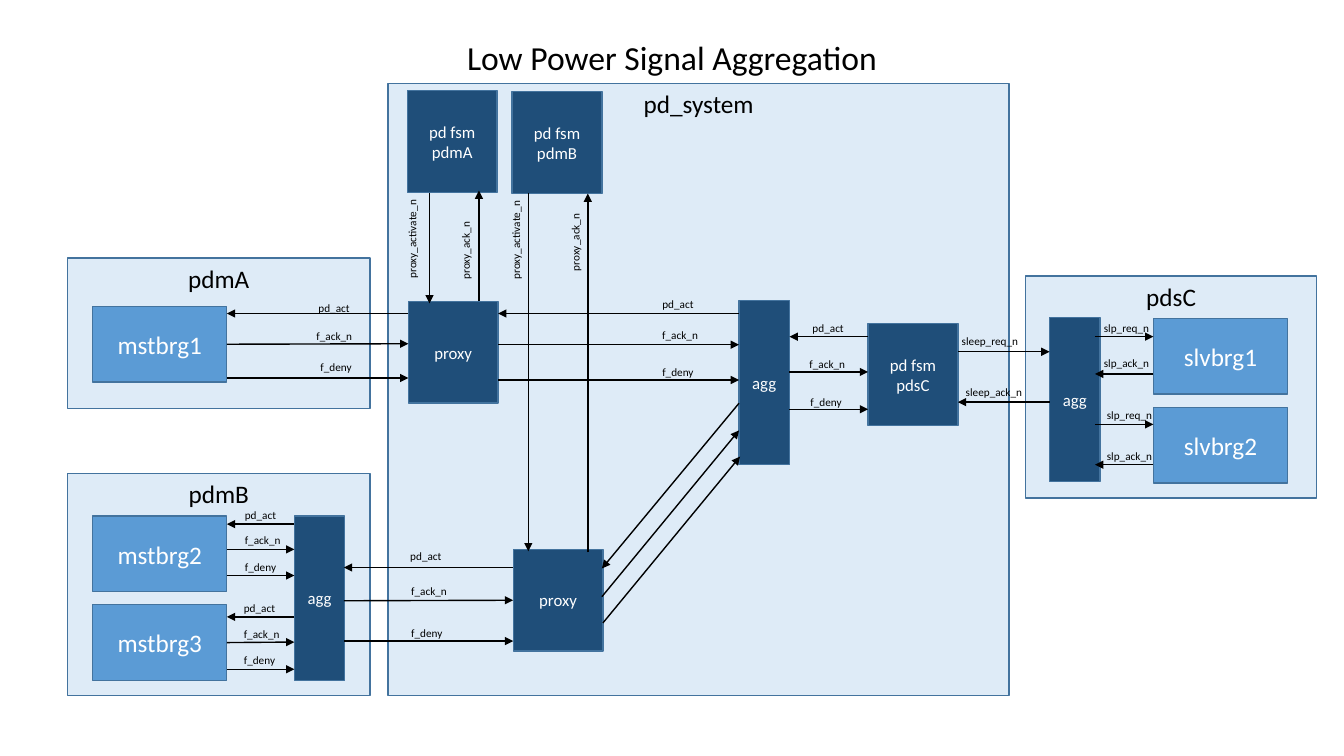
from lxml.etree import SubElement
from pptx import Presentation
from pptx.dml.color import RGBColor
from pptx.enum.shapes import MSO_CONNECTOR, MSO_SHAPE
from pptx.enum.text import MSO_ANCHOR, MSO_AUTO_SIZE, PP_ALIGN
from pptx.oxml.ns import qn
from pptx.util import Inches, Pt

PALE = RGBColor(0xDE, 0xEB, 0xF7)
BRIGHT = RGBColor(0x5B, 0x9B, 0xD5)
NAVY = RGBColor(0x1F, 0x4E, 0x79)
OUTLINE = RGBColor(0x43, 0x73, 0x9E)
BLACK = RGBColor(0, 0, 0)
WHITE = RGBColor(0xFF, 0xFF, 0xFF)

RIGHT_SIDE, LEFT_SIDE = 3, 1

prs = Presentation()
prs.slide_width, prs.slide_height = Inches(13.33), Inches(7.5)
slide = prs.slides.add_slide(prs.slide_layouts[6])


def write(shape, lines, size, color, align=PP_ALIGN.CENTER):
    """Fill the shape with one paragraph per line of text."""
    frame = shape.text_frame
    frame.text = lines
    for paragraph in frame.paragraphs:
        paragraph.alignment = align
        for key, value in {"name": "Calibri", "size": Pt(size)}.items():
            setattr(paragraph.runs[0].font, key, value)
        paragraph.runs[0].font.color.rgb = color
    return frame


def add_arrow(x1, y1, x2, y2):
    """Draw a black line with its arrowhead at the second point."""
    arrow = slide.shapes.add_connector(
        MSO_CONNECTOR.STRAIGHT, Inches(x1), Inches(y1), Inches(x2), Inches(y2))
    arrow.line.width = Pt(1)
    arrow.line.color.rgb = BLACK
    SubElement(arrow.line._get_or_add_ln(), qn("a:tailEnd"), type="triangle")
    SubElement(arrow._element.spPr, qn("a:effectLst"))
    return arrow


title = slide.shapes.add_textbox(Inches(0.25), Inches(0.32), Inches(12.83), Inches(0.5))
title_frame = write(title, "Low Power Signal Aggregation", 24, BLACK)
title_frame.word_wrap = True

# Power domains and the blocks inside them
# style: fill, text colour, text size, anchor
DOMAIN = (PALE, BLACK, 18, MSO_ANCHOR.TOP)
BRIDGE = (BRIGHT, WHITE, 18, MSO_ANCHOR.MIDDLE)
CONTROL = (NAVY, WHITE, 12, MSO_ANCHOR.MIDDLE)
BRIDGE_SIZE, CONTROL_SIZE, AGG_SIZE = (1.33, 0.75), (0.89, 1.01), (0.5, 1.63)

blocks = {}
for key, text, style, left, top, (width, height) in [
    ("pd_system", "pd_system", DOMAIN, 3.85, 0.83, (6.16, 6.07)),
    ("pdmA", "pdmA", DOMAIN, 0.67, 2.56, (3, 1.49)),
    ("pdmB", "pdmB", DOMAIN, 0.67, 4.7, (3, 2.2)),
    ("pdsC", "pdsC", DOMAIN, 10.17, 2.74, (2.89, 2.2)),
    ("mstbrg1", "mstbrg1", BRIDGE, 0.92, 3.04, BRIDGE_SIZE),
    ("mstbrg2", "mstbrg2", BRIDGE, 0.92, 5.12, BRIDGE_SIZE),
    ("mstbrg3", "mstbrg3", BRIDGE, 0.92, 6, BRIDGE_SIZE),
    ("slvbrg1", "slvbrg1", BRIDGE, 11.44, 3.16, BRIDGE_SIZE),
    ("slvbrg2", "slvbrg2", BRIDGE, 11.44, 4.04, BRIDGE_SIZE),
    ("agg pdmB", "agg", CONTROL, 2.92, 5.12, AGG_SIZE),
    ("agg system", "agg", CONTROL, 7.33, 2.98, AGG_SIZE),
    ("agg pdsC", "agg", CONTROL, 10.41, 3.15, AGG_SIZE),
    ("proxy pdmA", "proxy", CONTROL, 4.05, 2.99, CONTROL_SIZE),
    ("proxy pdmB", "proxy", CONTROL, 5.09, 5.45, CONTROL_SIZE),
    ("fsm pdmA", "pd fsm\npdmA", CONTROL, 4.04, 0.9, CONTROL_SIZE),
    ("fsm pdmB", "pd fsm\npdmB", CONTROL, 5.08, 0.91, CONTROL_SIZE),
    ("fsm pdsC", "pd fsm\npdsC", CONTROL, 8.61, 3.21, CONTROL_SIZE),
]:
    fill, text_color, size, anchor = style
    block = slide.shapes.add_shape(
        MSO_SHAPE.RECTANGLE, Inches(left), Inches(top), Inches(width), Inches(height))
    block.shadow.inherit = False
    block.fill.solid()
    block.fill.fore_color.rgb = fill
    block.line.color.rgb = OUTLINE
    block.line.width = Pt(1)
    write(block, text, size, text_color).vertical_anchor = anchor
    blocks[key] = block

# Horizontal signals: left end, right end, then (signal, arrow y, label left, label top)
LEFTWARD = {"pd_act", "sleep_ack_n", "slp_ack_n"}
links = {
    "mstbrg1": (2.25, 4.05, [("pd_act", 3.11, 3.06, 2.94), ("f_ack_n", 3.41, 3.04, 3.22),
                             ("f_deny", 3.75, 3.08, 3.53)]),
    "mstbrg2": (2.25, 2.92, [("pd_act", 5.2, 2.33, 4.99), ("f_ack_n", 5.45, 2.33, 5.24),
                             ("f_deny", 5.71, 2.33, 5.51)]),
    "mstbrg3": (2.25, 2.92, [("pd_act", 6.12, 2.32, 5.92), ("f_ack_n", 6.37, 2.32, 6.17),
                             ("f_deny", 6.64, 2.32, 6.43)]),
    "proxy pdmB": (3.41, 5.09, [("pd_act", 5.63, 3.97, 5.4), ("f_ack_n", 5.96, 3.98, 5.75),
                                ("f_deny", 6.36, 3.98, 6.16)]),
    "agg system": (4.94, 7.33, [("pd_act", 3.11, 6.47, 2.9), ("f_ack_n", 3.42, 6.47, 3.21),
                                ("f_deny", 3.77, 6.47, 3.58)]),
    "fsm pdsC": (7.83, 8.61, [("pd_act", 3.34, 7.96, 3.14), ("f_ack_n", 3.69, 7.93, 3.5),
                              ("f_deny", 4.06, 7.94, 3.87)]),
    "agg pdsC": (9.5, 10.41, [("sleep_req_n", 3.49, 9.44, 3.27),
                              ("sleep_ack_n", 3.99, 9.48, 3.77)]),
    "slvbrg1": (10.86, 11.44, [("slp_req_n", 3.34, 10.85, 3.14),
                               ("slp_ack_n", 3.71, 10.85, 3.49)]),
    "slvbrg2": (10.86, 11.44, [("slp_req_n", 4.21, 10.88, 4),
                               ("slp_ack_n", 4.61, 10.88, 4.41)]),
}
arrows, labels = {}, []
for link, (x_left, x_right, signals) in links.items():
    for signal, y, label_left, label_top in signals:
        start, end = (x_right, x_left) if signal in LEFTWARD else (x_left, x_right)
        arrows[link, signal] = add_arrow(start, y, end, y)
        labels.append((signal, label_left, label_top))

for bridge in ("mstbrg1", "mstbrg3"):
    arrows[bridge, "f_ack_n"].begin_connect(blocks[bridge], RIGHT_SIDE)
arrows["proxy pdmB", "f_ack_n"].end_connect(blocks["proxy pdmB"], LEFT_SIDE)

# Vertical signals between the state machines and their proxies
for x, y_start, y_end, signal, label_left, label_top in [
    (4.26, 1.91, 3.01, "proxy_activate_n", 3.97, 1.97),
    (4.75, 2.99, 1.89, "proxy_ack_n", 4.5, 2.19),
    (5.24, 1.91, 5.47, "proxy_activate_n", 5, 1.98),
    (5.83, 5.48, 1.92, "proxy_ack_n", 5.59, 2.11),
]:
    add_arrow(x, y_start, x, y_end)
    labels.append((signal, label_left, label_top))

# Diagonal signals between the pdmB proxy and the system aggregator
for ends in [(7.33, 4, 5.97, 5.64), (5.97, 5.92, 7.33, 4.27), (5.98, 6.18, 7.34, 4.53)]:
    add_arrow(*ends)

LABEL_LENGTH = {"pd_act": 0.52, "f_ack_n": 0.56, "f_deny": 0.52,
                "sleep_req_n": 0.77, "sleep_ack_n": 0.77,
                "slp_req_n": 0.66, "slp_ack_n": 0.66,
                "proxy_activate_n": 0.89, "proxy_ack_n": 0.68}
for signal, left, top in labels:
    upright = signal.startswith("proxy")
    length = LABEL_LENGTH[signal]
    width, height = (0.34, length) if upright else (length, 0.24)
    label = slide.shapes.add_textbox(Inches(left), Inches(top), Inches(width), Inches(height))
    label_frame = write(label, signal, 8, BLACK, PP_ALIGN.LEFT)
    label_frame.word_wrap = False
    label_frame.auto_size = MSO_AUTO_SIZE.SHAPE_TO_FIT_TEXT
    if upright:
        label_frame._txBody.bodyPr.set("vert", "vert270")

prs.save("out.pptx")
